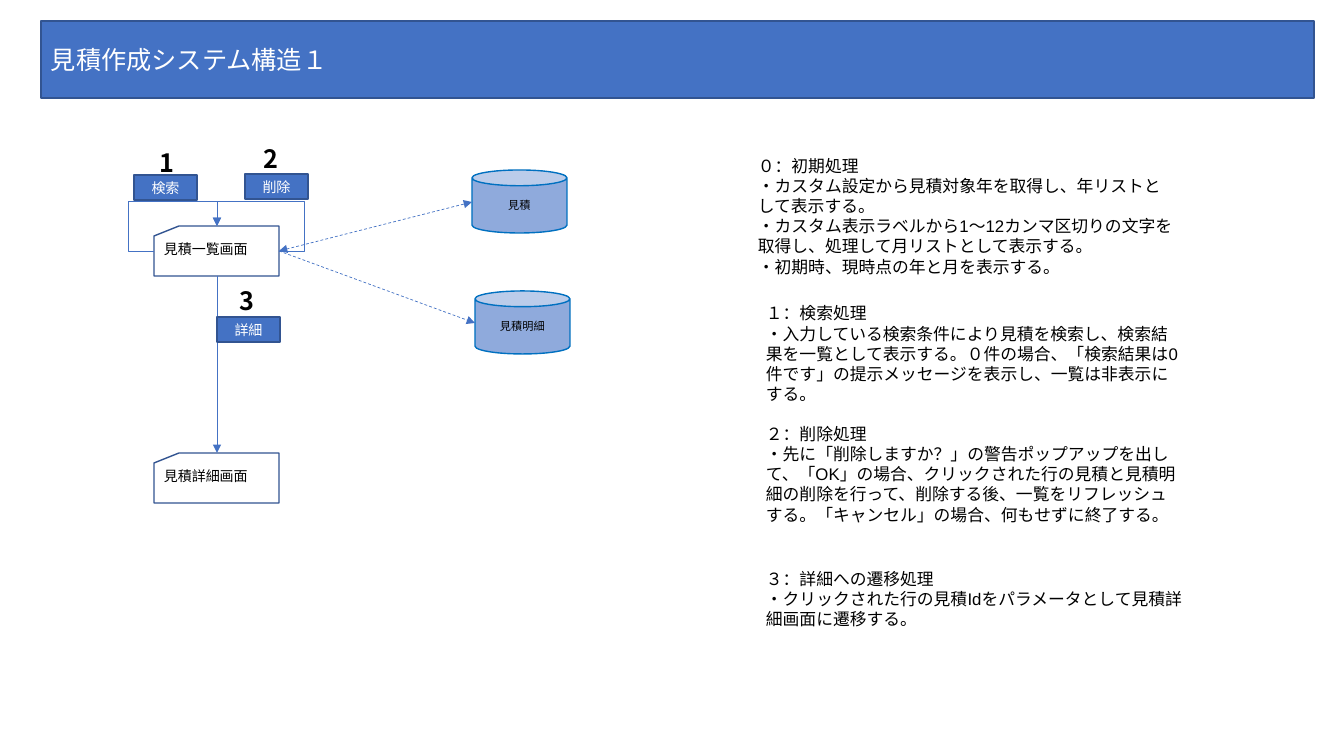
from dataclasses import dataclass

from lxml import etree
from pptx import Presentation
from pptx.dml.color import RGBColor
from pptx.enum.dml import MSO_LINE
from pptx.enum.shapes import MSO_CONNECTOR, MSO_SHAPE
from pptx.enum.text import MSO_ANCHOR, PP_ALIGN
from pptx.oxml.ns import qn
from pptx.util import Emu, Pt

RECT = MSO_SHAPE.RECTANGLE
CARD = MSO_SHAPE.FLOWCHART_CARD
CAN = MSO_SHAPE.CAN
ROUND = MSO_SHAPE.FLOWCHART_CONNECTOR
LINE, ELBOW = MSO_CONNECTOR.STRAIGHT, MSO_CONNECTOR.ELBOW
DASH = MSO_LINE.DASH
LEFT, CENTER = PP_ALIGN.LEFT, PP_ALIGN.CENTER
TOP, MIDDLE = MSO_ANCHOR.TOP, MSO_ANCHOR.MIDDLE
SCALE = 914400 / 100.8


@dataclass(frozen=True)
class Theme:
    blue: str = "4472C4"
    edge: str = "325491"
    pale: str = "8FAADC"
    rim: str = "0070C0"
    white: str = "FFFFFF"
    black: str = "000000"
    sans: str = "Noto Sans CJK JP"
    body: str = "Arial"
    head: int = 18
    note: int = 12
    label: int = 10
    small: int = 8


THEME = Theme()

NOTES = [
    (748, 145, 142, [
        "０：初期処理",
        "・カスタム設定から見積対象年を取得し、年リストとして表示する。",
        "・カスタム表示ラベルから1～12カンマ区切りの文字を取得し、処理して月リストとして表示する。",
        "・初期時、現時点の年と月を表示する。"]),
    (756, 302, 103, [
        "１：検索処理",
        "・入力している検索条件により見積を検索し、検索結果を一覧として表示する。"
        "０件の場合、「検索結果は0件です」の提示メッセージを表示し、一覧は非表示にする。"]),
    (756, 417, 114, [
        "２：削除処理",
        "・先に「削除しますか？」の警告ポップアップを出して、「OK」の場合、"
        "クリックされた行の見積と見積明細の削除を行って、削除する後、"
        "一覧をリフレッシュする。「キャンセル」の場合、何もせずに終了する。"]),
    (756, 542, 114, [
        "３：詳細への遷移処理",
        "・クリックされた行の見積Idをパラメータとして見積詳細画面に遷移する。"]),
]


def px(n):
    return Emu(round(n * SCALE))


def color(code):
    return RGBColor.from_string(code)


def assign(target, values):
    for name, value in values.items():
        setattr(target, name, value)


def write(shape, lines, size, ink, font=THEME.sans, align=LEFT, bold=False,
          anchor=MIDDLE, inset=None):
    frame = shape.text_frame
    assign(frame, {"word_wrap": True, "vertical_anchor": anchor})
    if inset is not None:
        sides = ("left", "top", "right", "bottom")
        assign(frame, {f"margin_{side}": px(inset) for side in sides})
    for i, line in enumerate(lines):
        para = frame.add_paragraph() if i else frame.paragraphs[0]
        para.alignment = align
        run = para.add_run()
        run.text = line
        assign(run.font, {"size": Pt(size), "name": font, "bold": bold})
        run.font.color.rgb = color(ink)
        # Japanese glyphs follow the East Asian typeface
        etree.SubElement(run.font._element, qn("a:ea"), typeface=font)


def block(slide, kind, box, text, size, ink, fill=None, edge=None, **form):
    shape = slide.shapes.add_shape(kind, *map(px, box))
    shape.shadow.inherit = False
    if fill:
        shape.fill.solid()
        shape.fill.fore_color.rgb = color(fill)
        shape.line.color.rgb = color(edge)
        shape.line.width = Pt(1)
    else:
        shape.fill.background()
        shape.line.fill.background()
    write(shape, [text], size, ink, **form)


def screen(slide, y, text):
    block(slide, CARD, (154, y, 125, 50), text, THEME.label, THEME.black,
          THEME.white, THEME.edge, anchor=TOP)


def store(slide, x, y, text):
    block(slide, CAN, (x, y, 95, 63), text, THEME.small, THEME.black,
          THEME.pale, THEME.rim, align=CENTER, inset=0)


def button(slide, x, y, text):
    block(slide, RECT, (x, y, 63, 25), text, THEME.label, THEME.white,
          THEME.blue, THEME.edge, align=CENTER)


def number(slide, x, y, text):
    block(slide, ROUND, (x, y, 41, 26), text, THEME.head, THEME.black,
          align=CENTER, bold=True)


def arrow(slide, start, end, kind=LINE, dash=None, ends=("tailEnd",)):
    link = slide.shapes.add_connector(kind, *map(px, start + end))
    link.line.color.rgb = color(THEME.blue)
    assign(link.line, {"width": Pt(0.5), "dash_style": dash})
    for tip in ends:
        etree.SubElement(link.line._ln, qn(f"a:{tip}"), type="triangle")
    etree.SubElement(link._element.spPr, qn("a:effectLst"))
    return link


def loop(slide, start, end):
    """Leave a card's side, pass above it and return to its top."""
    link = arrow(slide, start, end, ELBOW)
    shape = link._element.spPr.find(qn("a:prstGeom"))
    shape.set("prst", "bentConnector4")
    guides = shape.find(qn("a:avLst"))
    for name, value in (("adj1", -40300), ("adj2", 200000)):
        etree.SubElement(guides, qn("a:gd"), name=name, fmla=f"val {value}")


def note(slide, x, y, high, lines):
    box = slide.shapes.add_textbox(*map(px, (x, y, 436, high)))
    write(box, lines, THEME.note, THEME.black, THEME.body)


def main():
    deck = Presentation()
    assign(deck, {"slide_width": px(1344), "slide_height": px(756)})
    slide = deck.slides.add_slide(deck.slide_layouts[6])

    block(slide, RECT, (41, 21, 1273, 77), "見積作成システム構造１",
          THEME.head, THEME.white, THEME.blue, THEME.edge)
    screen(slide, 226, "見積一覧画面")
    screen(slide, 453, "見積詳細画面")
    store(slide, 472, 170, "見積")
    store(slide, 475, 291, "見積明細")

    top, west, east = (217, 226), (154, 251), (279, 251)
    for side in (west, east):
        loop(slide, side, top)
    arrow(slide, (217, 276), (217, 453))
    arrow(slide, east, (472, 202), dash=DASH, ends=("headEnd", "tailEnd"))
    arrow(slide, east, (475, 323), dash=DASH)

    for x, y, text in ((134, 175, "検索"), (245, 174, "削除"),
                       (217, 317, "詳細")):
        button(slide, x, y, text)
    for x, y, text in ((144, 149, "1"), (248, 145, "2"), (224, 287, "3")):
        number(slide, x, y, text)
    for entry in NOTES:
        note(slide, *entry)

    deck.save("out.pptx")


if __name__ == "__main__":
    main()
